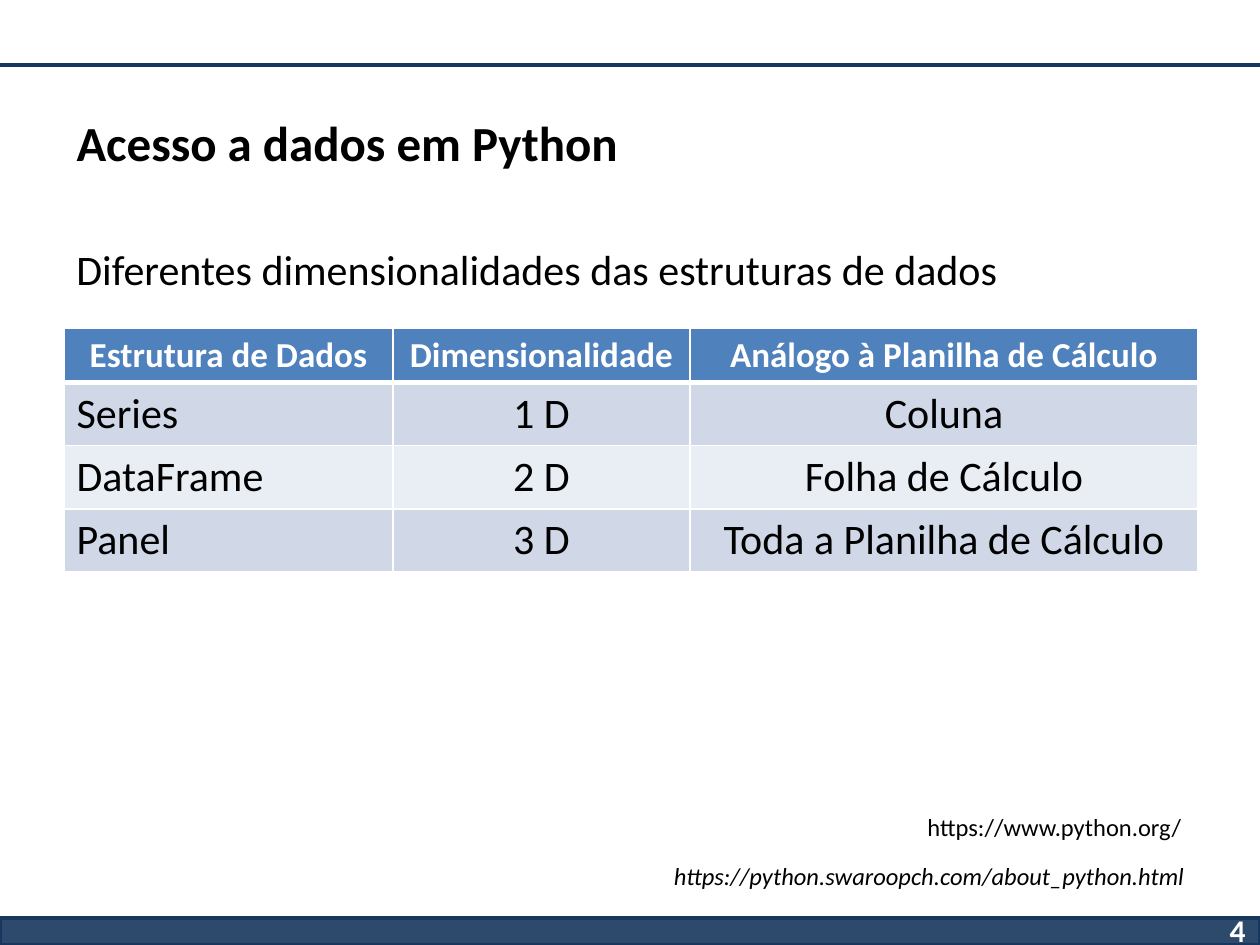
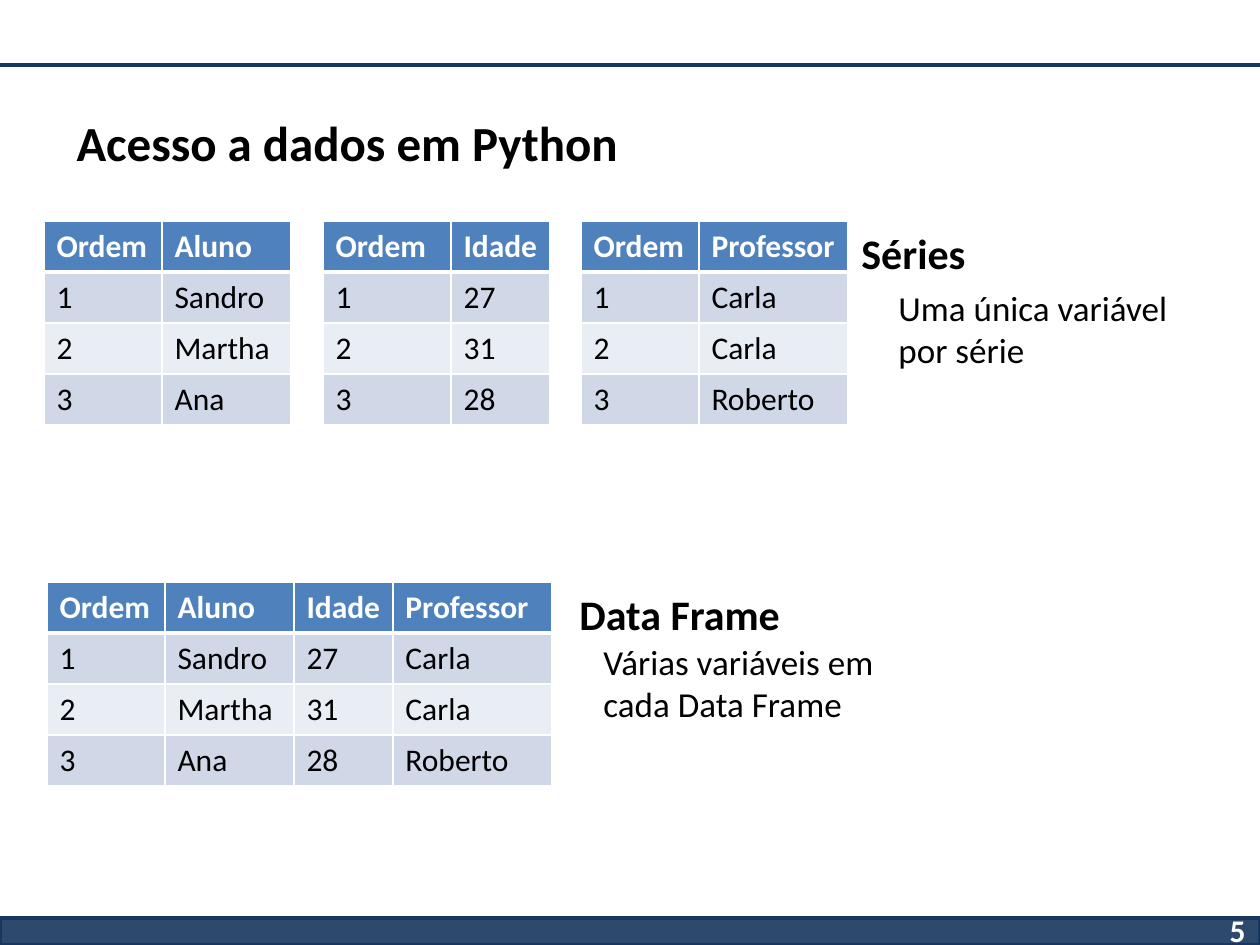
from dataclasses import dataclass
from lxml import etree
from pptx import Presentation, util as u
from pptx.dml.color import RGBColor
from pptx.enum import shapes as es, text as et
from pptx.oxml import ns


@dataclass(frozen=True)
class Theme:
    font: str = "Calibri"
    navy: str = "17375E"
    blue: str = "4F81BD"
    odd: str = "D0D8E8"
    even: str = "E9EDF4"
    white: str = "FFFFFF"
    black: str = "000000"
    title: int = 28
    head: int = 24
    body: int = 20
    small: int = 18
    link: int = 14


T = Theme()
LEFT, MID, RIGHT = (et.PP_ALIGN.LEFT, et.PP_ALIGN.CENTER, et.PP_ALIGN.RIGHT)
PUPILS = {
    "Ordem": ["1", "2", "3"],
    "Aluno": ["Sandro", "Martha", "Ana"],
    "Idade": ["27", "31", "28"],
    "Professor": ["Carla", "Carla", "Roberto"],
}


def px(n):
    return round(n * 914400 / 126)


def rgb(hue):
    return RGBColor.from_string(hue)


def put(item, vals):
    for key, val in vals.items():
        setattr(item, key, val)


def node(up, tag, **vals):
    return etree.SubElement(up, ns.qn(tag), vals)


def write(frame, words, size, hue=T.black, align=LEFT, **more):
    par = frame.paragraphs[0]
    par.alignment = align
    run = par.add_run()
    run.text = words
    put(run.font, {"name": T.font, "size": u.Pt(size), "bold": False, **more})
    run.font.color.rgb = rgb(hue)


def label(slide, box, words, size, wrap=True, **more):
    frame = slide.shapes.add_textbox(*map(px, box)).text_frame
    frame.word_wrap = wrap
    write(frame, words, size, **more)


def bar(slide, box):
    shape = slide.shapes.add_shape(es.MSO_SHAPE.RECTANGLE, *map(px, box))
    shape.shadow.inherit = False
    shape.fill.solid()
    shape.fill.fore_color.rgb = rgb(T.navy)
    return shape


def start(deck, num):
    slide = deck.slides.add_slide(deck.slide_layouts[5])
    band = bar(slide, (0, 918, 1260, 27))
    band.line.color.rgb = rgb(T.navy)
    band.line.width = u.Pt(2)
    hue = band.fill._xPr.find(".//" + ns.qn("a:srgbClr"))
    node(hue, "a:alpha", val="90000")
    bar(slide, (0, 63, 1260, 4)).line.fill.background()
    title = slide.shapes.title
    spot = zip(("left", "top", "width", "height"), map(px, (64, 97, 1133, 89)))
    put(title, dict(spot))
    frame = title.text_frame
    put(frame, {"word_wrap": True, "vertical_anchor": et.MSO_ANCHOR.MIDDLE})
    write(frame, "Acesso a dados em Python", T.title, bold=True)
    label(slide, (964, 905, 294, 50), str(num), T.small,
          hue=T.white, align=RIGHT, bold=True)
    return slide


def edge(cell, row):
    thick = {"L": 1, "R": 1, "T": 3 if row == 1 else 1, "B": 1 if row else 3}
    props = cell._tc.get_or_add_tcPr()
    for side, size in thick.items():
        line = node(props, "a:ln" + side, w=str(u.Pt(size)))
        node(node(line, "a:solidFill"), "a:srgbClr", val=T.white)


def grid(slide, spot, rows, wide, high, sizes, mid=False):
    box = (*spot, sum(wide), sum(high))
    table = slide.shapes.add_table(len(rows), len(wide), *map(px, box)).table
    for col, size in zip(table.columns, wide):
        col.width = px(size)
    for row, size in zip(table.rows, high):
        row.height = px(size)
    for r, vals in enumerate(rows):
        top = r == 0
        fill = T.blue if top else (T.even, T.odd)[r % 2]
        for c, words in enumerate(vals):
            cell = table.cell(r, c)
            edge(cell, r)
            cell.fill.solid()
            cell.fill.fore_color.rgb = rgb(fill)
            write(cell.text_frame, words, sizes[not top],
                  T.white if top else T.black,
                  MID if mid and (top or c) else LEFT, bold=top)


def pick(slide, spot, names, wide):
    rows = [names, *zip(*(PUPILS[name] for name in names))]
    grid(slide, spot, rows, wide, [51] * 4, (T.small, T.small))


def kinds(slide, box):
    x, y, w, h = box
    label(slide, (x, y, 988, 63),
          "Diferentes dimensionalidades das estruturas de dados",
          T.head, wrap=False)
    rows = [
        ("Estrutura de Dados", "Dimensionalidade",
         "Análogo à Planilha de Cálculo"),
        ("Series", "1 D", "Coluna"),
        ("DataFrame", "2 D", "Folha de Cálculo"),
        ("Panel", "3 D", "Toda a Planilha de Cálculo"),
    ]
    grid(slide, (x, y + 91), rows, (329, 297, 508), (54, 63, 63, 63),
         (T.body, T.head), mid=True)


def links(slide, box):
    x, y, w, h = box
    label(slide, (x + w - 282, y, 282, 43), "https://www.python.org/",
          T.link, wrap=False)
    label(slide, (x, y + h - 43, w, 43),
          "https://python.swaroopch.com/about_python.html",
          T.link, align=RIGHT, italic=True)


def series(slide, box):
    x, y, w, h = box
    parts = ((0, "Aluno", (118, 129)), (279, "Idade", (128, 99)),
             (537, "Professor", (118, 149)))
    for dx, name, wide in parts:
        pick(slide, (x + dx, y), ("Ordem", name), wide)
    label(slide, (x + 805, y, 131, 63), "Séries", T.head,
          wrap=False, bold=True)
    label(slide, (x + w - 294, y + 59, 294, 97),
          "Uma única variável por série", T.body)


def frames(slide, box):
    x, y, w, h = box
    pick(slide, (x, y), tuple(PUPILS), (118, 129, 99, 159))
    label(slide, (x + 520, y, 228, 63), "Data Frame", T.head,
          wrap=False, bold=True)
    label(slide, (x + w - 326, y + 52, 326, 97),
          "Várias variáveis em cada Data Frame", T.body)


def main():
    deck = Presentation()
    put(deck, {"slide_width": px(1260), "slide_height": px(945)})
    one = start(deck, 4)
    kinds(one, (64, 237, 1134, 334))
    links(one, (357, 806, 840, 92))
    two = start(deck, 5)
    series(two, (44, 221, 1136, 204))
    frames(two, (47, 582, 870, 204))
    deck.save("out.pptx")


if __name__ == "__main__":
    main()
